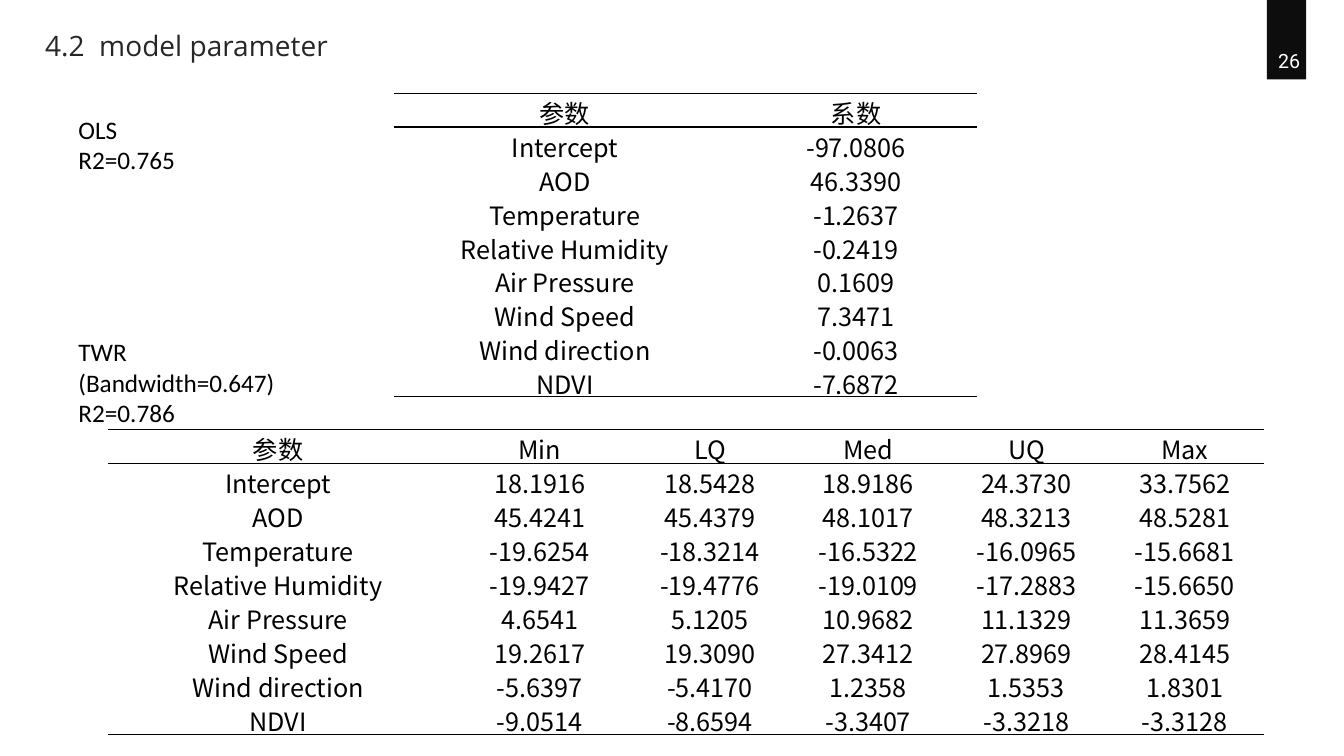
from dataclasses import dataclass

from lxml.etree import SubElement
from pptx import Presentation
from pptx.dml.color import RGBColor
from pptx.enum.shapes import MSO_SHAPE
from pptx.enum.text import MSO_ANCHOR, PP_ALIGN
from pptx.oxml.ns import qn
from pptx.slide import Slide
from pptx.table import _Cell as Cell
from pptx.text.text import TextFrame
from pptx.util import Pt

BLACK = "000000"
TABLE_FONT = "Noto Sans CJK SC"
ROW_HEIGHT = 24.25
CELL_MARGIN = 0.72


@dataclass
class Label:
    lines: list[str]
    left: float
    top: float
    width: float
    height: float
    font: str = "Calibri"
    size: float = 18
    color: str = BLACK
    align: PP_ALIGN = PP_ALIGN.LEFT
    anchor: MSO_ANCHOR = MSO_ANCHOR.TOP


@dataclass
class ParameterTable:
    left: float
    top: float
    widths: list[float]
    headings: list[str]
    values: list[list[str]]
    last_height: float = ROW_HEIGHT


PARAMETERS = ["Intercept", "AOD", "Temperature", "Relative Humidity", "Air Pressure",
              "Wind Speed", "Wind direction", "NDVI"]

PAGE_NUMBER = Label(["26"], 894.96, 30.96, 51.84, 24.48, "Roboto", 14, "FFFFFF",
                    PP_ALIGN.CENTER, MSO_ANCHOR.MIDDLE)
TITLE = Label(["4.2  model parameter"], 25.2, 16.56, 358.56, 31.68, "Open Sans", 20, "262626")
OLS_LABEL = Label(["OLS", "R2=0.765"], 48.96, 77.76, 126, 51.12)
TWR_LABEL = Label(["TWR", "(Bandwidth=0.647)", "R2=0.786"], 48.96, 236.88, 232.56, 72.72)

OLS_TABLE = ParameterTable(
    281.75, 66.5, [243.36, 172.8], ["参数", "系数"],
    [["-97.0806"], ["46.3390"], ["-1.2637"], ["-0.2419"],
     ["0.1609"], ["7.3471"], ["-0.0063"], ["-7.6872"]],
    last_height=23)
TWR_TABLE = ParameterTable(
    77, 306.75, [243.36, 130.32] + [113.04] * 4,
    ["参数", "Min", "LQ", "Med", "UQ", "Max"],
    [["18.1916", "18.5428", "18.9186", "24.3730", "33.7562"],
     ["45.4241", "45.4379", "48.1017", "48.3213", "48.5281"],
     ["-19.6254", "-18.3214", "-16.5322", "-16.0965", "-15.6681"],
     ["-19.9427", "-19.4776", "-19.0109", "-17.2883", "-15.6650"],
     ["4.6541", "5.1205", "10.9682", "11.1329", "11.3659"],
     ["19.2617", "19.3090", "27.3412", "27.8969", "28.4145"],
     ["-5.6397", "-5.4170", "1.2358", "1.5353", "1.8301"],
     ["-9.0514", "-8.6594", "-3.3407", "-3.3218", "-3.3128"]])


def rgb(color: str) -> RGBColor:
    return RGBColor.from_string(color)


def write_lines(frame: TextFrame, lines: list[str], font: str, size: float, color: str,
                align: PP_ALIGN) -> None:
    for index, line in enumerate(lines):
        para = frame.paragraphs[0] if index == 0 else frame.add_paragraph()
        para.alignment = align
        span = para.add_run()
        span.text = line
        for name, value in {"name": font, "size": Pt(size)}.items():
            setattr(span.font, name, value)
        span.font.color.rgb = rgb(color)
        SubElement(span.font._element, qn("a:ea"), typeface=font)


def add_label(page: Slide, label: Label) -> None:
    box = page.shapes.add_textbox(Pt(label.left), Pt(label.top), Pt(label.width), Pt(label.height))
    box.text_frame.word_wrap = True
    box.text_frame.vertical_anchor = label.anchor
    write_lines(box.text_frame, label.lines, label.font, label.size, label.color, label.align)


def rule_cell(cell: Cell, top: bool, bottom: bool) -> None:
    """Draw the chosen horizontal rules and suppress all other borders."""
    properties = cell._tc.get_or_add_tcPr()
    sides = {"a:lnL": False, "a:lnR": False, "a:lnT": top, "a:lnB": bottom}
    for position, (side, visible) in enumerate(sides.items()):
        line = SubElement(properties, qn(side), w=str(Pt(1)))
        if visible:
            fill = SubElement(line, qn("a:solidFill"))
            SubElement(fill, qn("a:srgbClr"), val=BLACK)
        else:
            SubElement(line, qn("a:noFill"))
        properties.insert(position, line)


def add_parameter_table(page: Slide, data: ParameterTable) -> None:
    rows = [data.headings] + [[name, *values] for name, values in zip(PARAMETERS, data.values)]
    last = len(rows) - 1
    heights = [ROW_HEIGHT] * last + [data.last_height]
    table = page.shapes.add_table(len(rows), len(data.widths), Pt(data.left), Pt(data.top),
                                  Pt(sum(data.widths)), Pt(sum(heights))).table
    table.first_row = table.horz_banding = False
    for column, width in zip(table.columns, data.widths):
        column.width = Pt(width)
    cell_format = {"vertical_anchor": MSO_ANCHOR.MIDDLE}
    cell_format |= {f"margin_{side}": Pt(CELL_MARGIN) for side in ("left", "right", "top", "bottom")}
    for row_index, (texts, height) in enumerate(zip(rows, heights)):
        table.rows[row_index].height = Pt(height)
        for column_index, text in enumerate(texts):
            cell = table.cell(row_index, column_index)
            for name, value in cell_format.items():
                setattr(cell, name, value)
            cell.fill.background()
            rule_cell(cell, top=row_index <= 1, bottom=row_index in (0, last))
            write_lines(cell.text_frame, [text], TABLE_FONT, 18, BLACK, PP_ALIGN.CENTER)


def main() -> None:
    deck = Presentation()
    deck.slide_width, deck.slide_height = Pt(960), Pt(540)
    page = deck.slides.add_slide(deck.slide_layouts[6])

    number_tab = page.shapes.add_shape(MSO_SHAPE.RECTANGLE, Pt(905), Pt(0), Pt(28), Pt(56.75))
    number_tab.shadow.inherit = False
    number_tab.fill.solid()
    number_tab.fill.fore_color.rgb = rgb("0D0D0D")
    number_tab.line.fill.background()

    for label in (PAGE_NUMBER, TITLE, OLS_LABEL):
        add_label(page, label)
    for data in (OLS_TABLE, TWR_TABLE):
        add_parameter_table(page, data)
    add_label(page, TWR_LABEL)
    deck.save("out.pptx")


if __name__ == "__main__":
    main()
